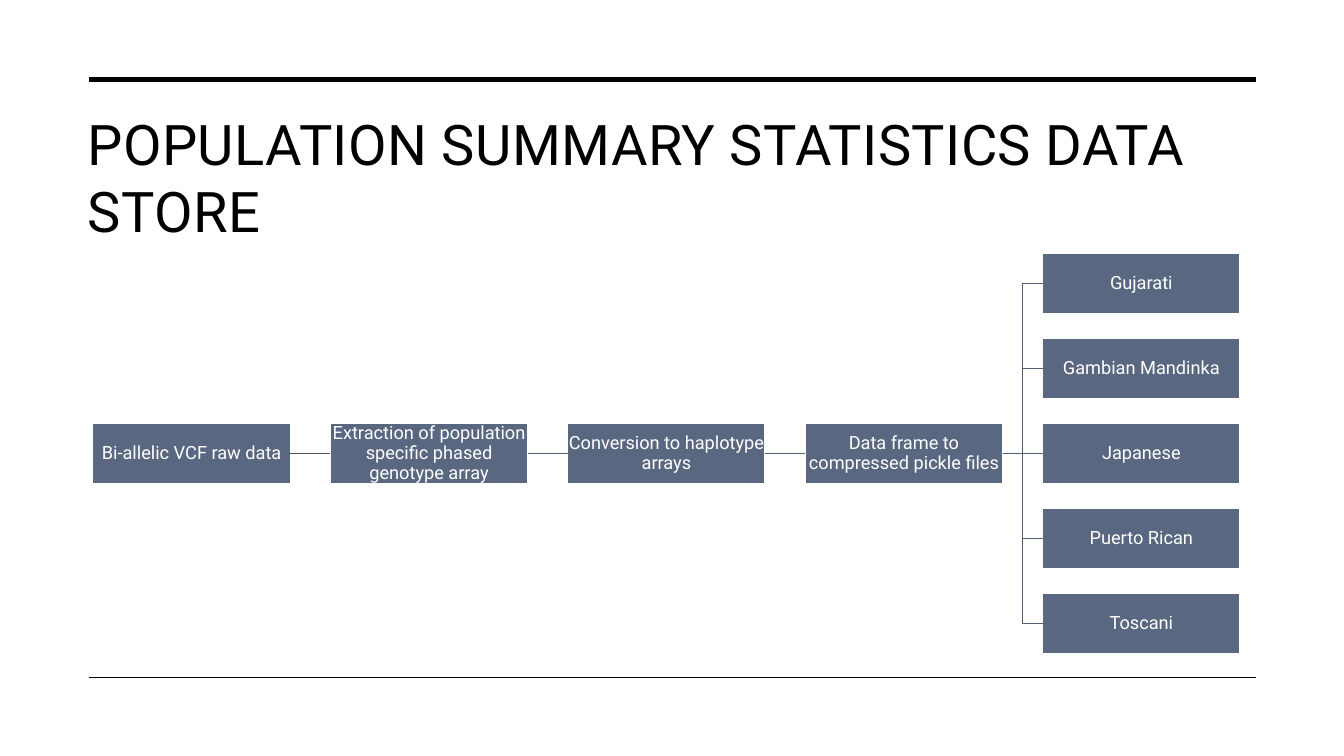
from lxml import etree
from pptx import Presentation
from pptx.dml.color import RGBColor
from pptx.enum.shapes import MSO_CONNECTOR, MSO_SHAPE
from pptx.enum.text import MSO_ANCHOR, MSO_AUTO_SIZE, PP_ALIGN
from pptx.oxml.ns import qn
from pptx.util import Inches, Pt

STRAIGHT, ELBOW = MSO_CONNECTOR.STRAIGHT, MSO_CONNECTOR.ELBOW
RECTANGLE = MSO_SHAPE.RECTANGLE
MIDDLE = MSO_ANCHOR.MIDDLE
LEFT, CENTER = PP_ALIGN.LEFT, PP_ALIGN.CENTER
RIGHT_SITE, LEFT_SITE = 3, 1

TITLE = "POPULATION SUMMARY STATISTICS DATA STORE"
STEPS = [
    "Bi-allelic VCF raw data",
    "Extraction of population specific phased genotype array",
    "Conversion to haplotype arrays",
    "Data frame to compressed pickle files",
]
POPULATIONS = ["Gujarati", "Gambian Mandinka", "Japanese", "Puerto Rican", "Toscani"]
RULES = [(0.79, 3.5), (6.72, 1)]  # height on the slide, line width

FONT = "Roboto"
BLACK, WHITE = "000000", "FFFFFF"
BOX_FILL, FIRST_LINK, LINK = "596781", "475267", "515D75"
RULE_LEFT, RULE_RIGHT = 0.88, 12.46
BOX_WIDTH, BOX_HEIGHT = 1.96, 0.6
FLOW_LEFT, FLOW_TOP = 0.92, 4.2
COLUMN_PITCH, ROW_PITCH = 2.355, 0.843


def color(value):
    return RGBColor.from_string(value)


def set_text(shape, text, size, font_color, alignment, margins):
    frame = shape.text_frame
    frame.text = text
    settings = {"word_wrap": True, "auto_size": MSO_AUTO_SIZE.NONE, "vertical_anchor": MIDDLE}
    settings.update(zip(("margin_left", "margin_top", "margin_right", "margin_bottom"),
                        map(Inches, margins)))
    for name, value in settings.items():
        setattr(frame, name, value)
    paragraph = frame.paragraphs[0]
    paragraph.alignment = alignment
    font = paragraph.runs[0].font
    for name, value in {"name": FONT, "size": Pt(size), "bold": False}.items():
        setattr(font, name, value)
    font.color.rgb = color(font_color)
    return paragraph


def add_line(slide, kind, line_color, width, start=(0, 0), end=(0, 0)):
    connector = slide.shapes.add_connector(kind, *map(Inches, start + end))
    connector.line.color.rgb = color(line_color)
    connector.line.width = Pt(width)
    etree.SubElement(connector._element.spPr, qn("a:effectLst"))
    return connector


def add_box(slide, text, column, row):
    """Place a box by column, and by row counted from the main flow."""
    box = slide.shapes.add_shape(
        RECTANGLE,
        Inches(FLOW_LEFT + column * COLUMN_PITCH), Inches(FLOW_TOP + row * ROW_PITCH),
        Inches(BOX_WIDTH), Inches(BOX_HEIGHT))
    box.shadow.inherit = False
    box.fill.solid()
    box.fill.fore_color.rgb = color(BOX_FILL)
    box.line.color.rgb = color(WHITE)
    box.line.width = Pt(1)
    paragraph = set_text(box, text, 13, WHITE, CENTER, (0.01,) * 4)
    paragraph.line_spacing = 0.9
    return box


def link(slide, source, target, line_color):
    kind = STRAIGHT if source.top == target.top else ELBOW
    connector = add_line(slide, kind, line_color, 1)
    connector.begin_connect(source, RIGHT_SITE)
    connector.end_connect(target, LEFT_SITE)


def main():
    presentation = Presentation()
    presentation.slide_width, presentation.slide_height = Inches(13.33), Inches(7.5)
    slide = presentation.slides.add_slide(presentation.slide_layouts[5])

    for height, width in RULES:
        add_line(slide, STRAIGHT, BLACK, width, (RULE_LEFT, height), (RULE_RIGHT, height))

    title = slide.shapes.title
    title.left, title.top, title.width, title.height = map(Inches, (0.77, 1.01, 12.37, 1.49))
    paragraph = set_text(title, TITLE, 40, BLACK, LEFT, (0.1, 0.05, 0.1, 0.05))
    paragraph.runs[0].font._element.set("spc", "30")

    steps = [add_box(slide, text, column, 0) for column, text in enumerate(STEPS)]
    middle_row = len(POPULATIONS) // 2
    populations = [add_box(slide, text, len(STEPS), row - middle_row)
                   for row, text in enumerate(POPULATIONS)]

    for index, (source, target) in enumerate(zip(steps, steps[1:])):
        link(slide, source, target, LINK if index else FIRST_LINK)
    for population in populations:
        link(slide, steps[-1], population, LINK)

    presentation.save("out.pptx")


if __name__ == "__main__":
    main()
